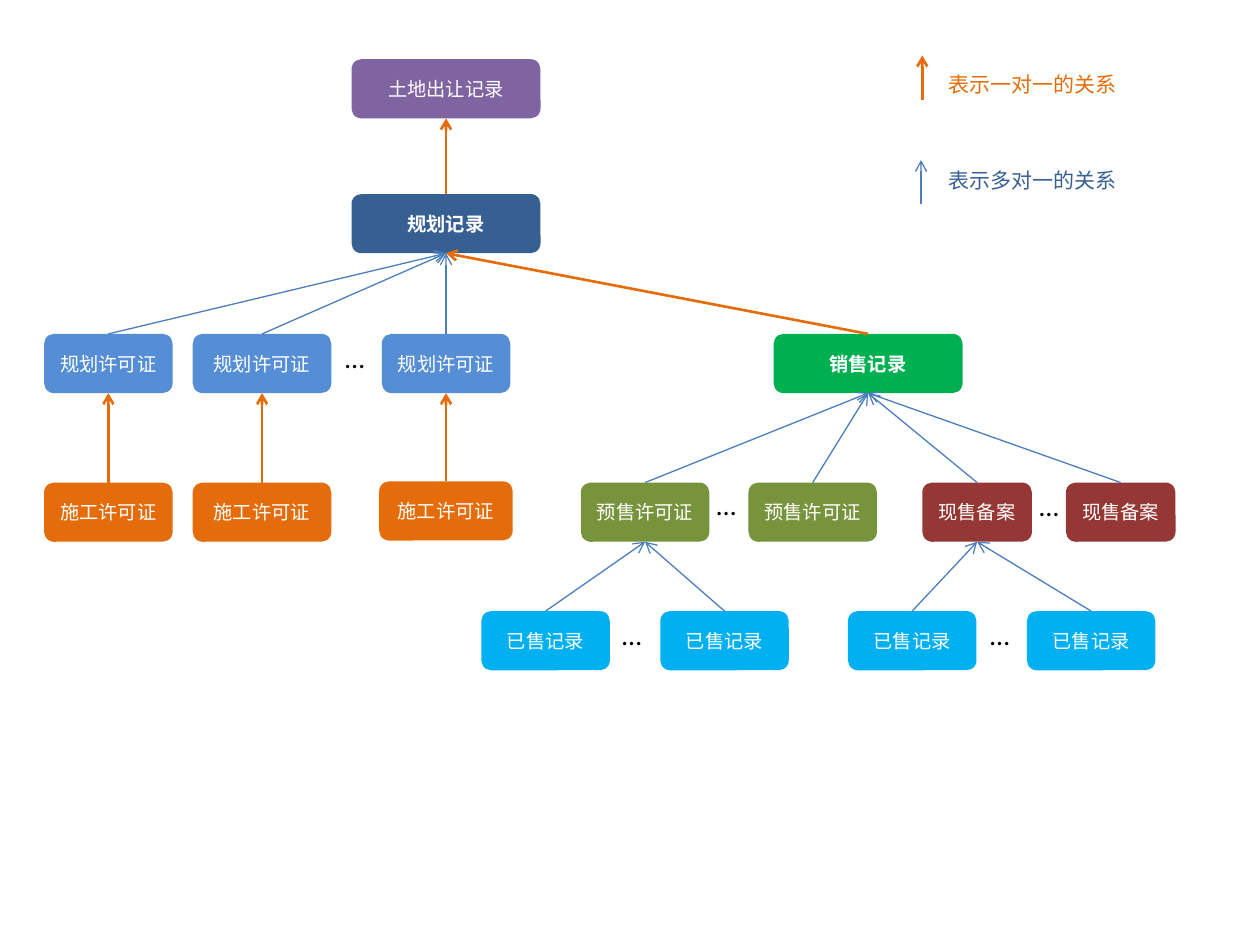
import pptx
import pptx.util
import pptx.dml.color
import pptx.enum.shapes
import pptx.enum.text
import pptx.oxml.ns
from lxml import etree

Inches = pptx.util.Inches
CJK = "Noto Sans CJK SC"
ORANGE, BLUE, NAVY = "E46C0A", "4B7EBC", "376092"
BOX_H = 0.47
ROWS = [0.47, 1.54, 2.65, 3.83, 4.85]


def color(code):
    return pptx.dml.color.RGBColor.from_string(code)


def add_run(frame, text, size, code, font=CJK, bold=False):
    run = frame.paragraphs[0].add_run()
    run.text = text
    run.font.size = pptx.util.Pt(size)
    run.font.name = font
    run.font.bold = bold
    run.font.color.rgb = color(code)
    east = etree.SubElement(run._r.get_or_add_rPr(), pptx.oxml.ns.qn("a:ea"))
    east.set("typeface", font)


def add_box(slide, text, left, top, width, fill, bold=False):
    box = slide.shapes.add_shape(
        pptx.enum.shapes.MSO_SHAPE.ROUNDED_RECTANGLE,
        Inches(left), Inches(top), Inches(width), Inches(BOX_H))
    box.shadow.inherit = False
    box.fill.solid()
    box.fill.fore_color.rgb = color(fill)
    box.line.fill.background()
    frame = box.text_frame
    frame.vertical_anchor = pptx.enum.text.MSO_ANCHOR.MIDDLE
    frame.paragraphs[0].alignment = pptx.enum.text.PP_ALIGN.CENTER
    add_run(frame, text, 11, "FFFFFF", bold=bold)
    return box


def add_label(slide, text, left, top, width, height, size, code, font=CJK):
    label = slide.shapes.add_textbox(
        Inches(left), Inches(top), Inches(width), Inches(height))
    frame = label.text_frame
    frame.word_wrap = False
    frame.auto_size = pptx.enum.text.MSO_AUTO_SIZE.SHAPE_TO_FIT_TEXT
    add_run(frame, text, size, code, font)


def add_arrow(slide, code, weight, x=0, start=0, end=0):
    line = slide.shapes.add_connector(
        pptx.enum.shapes.MSO_CONNECTOR.STRAIGHT,
        Inches(x), Inches(start), Inches(x), Inches(end))
    line.line.color.rgb = color(code)
    line.line.width = pptx.util.Pt(weight)
    qn = pptx.oxml.ns.qn
    props = line._element.spPr
    etree.SubElement(props.find(qn("a:ln")), qn("a:tailEnd")).set("type", "arrow")
    etree.SubElement(props, qn("a:effectLst"))
    return line


def link(slide, child, parent, single=False):
    style = (ORANGE, 1.5) if single else (BLUE, 0.75)
    line = add_arrow(slide, *style)
    line.begin_connect(child, 0)
    line.end_connect(parent, 2)


def main():
    deck = pptx.Presentation()
    deck.slide_width, deck.slide_height = Inches(10), Inches(7.5)
    slide = deck.slides.add_slide(deck.slide_layouts[6])

    # Main records
    land = add_box(slide, "土地出让记录", 2.79, ROWS[0], 1.5, "8064A2")
    plan = add_box(slide, "规划记录", 2.79, ROWS[1], 1.5, NAVY, True)
    sales = add_box(slide, "销售记录", 6.14, ROWS[2], 1.5, "00B050", True)
    link(slide, plan, land, True)
    link(slide, sales, plan, True)

    # Planning permits, each with its building permit
    for left, width, low, wide, top in [
            (0.35, 1.02, 0.35, 1.02, ROWS[3]),
            (1.53, 1.1, 1.53, 1.1, ROWS[3]),
            (3.03, 1.02, 3.01, 1.06, 3.82)]:
        permit = add_box(slide, "规划许可证", left, ROWS[2], width, "558ED5")
        build = add_box(slide, "施工许可证", low, top, wide, ORANGE)
        link(slide, permit, plan)
        link(slide, build, permit, True)

    # Sales permits and filings, some with sold records below
    for text, left, width, fill, sold in [
            ("预售许可证", 4.61, 1.02, "77933C", [3.82, 5.24]),
            ("预售许可证", 5.94, 1.02, "77933C", []),
            ("现售备案", 7.32, 0.87, "953735", [6.73, 8.15]),
            ("现售备案", 8.46, 0.87, "953735", [])]:
        entry = add_box(slide, text, left, ROWS[3], width, fill)
        link(slide, entry, sales)
        for place in sold:
            record = add_box(slide, "已售记录", place, ROWS[4], 1.02, "00B0F0")
            link(slide, record, entry)

    # Ellipses between siblings
    for left, top in [(2.64, ROWS[2]), (5.59, 3.82), (8.15, ROWS[3]),
                      (4.84, ROWS[4]), (7.76, ROWS[4])]:
        add_label(slide, "…", left, top, 0.36, 0.37, 16, "000000", "Calibri")

    # Legend
    add_arrow(slide, ORANGE, 1.5, 7.32, 0.79, 0.44)
    add_label(slide, "表示一对一的关系", 7.43, 0.52, 1.55, 0.3, 12, ORANGE)
    add_arrow(slide, BLUE, 0.75, 7.31, 1.62, 1.27)
    add_label(slide, "表示多对一的关系", 7.43, 1.28, 1.55, 0.3, 12, NAVY)

    deck.save("out.pptx")


if __name__ == "__main__":
    main()
